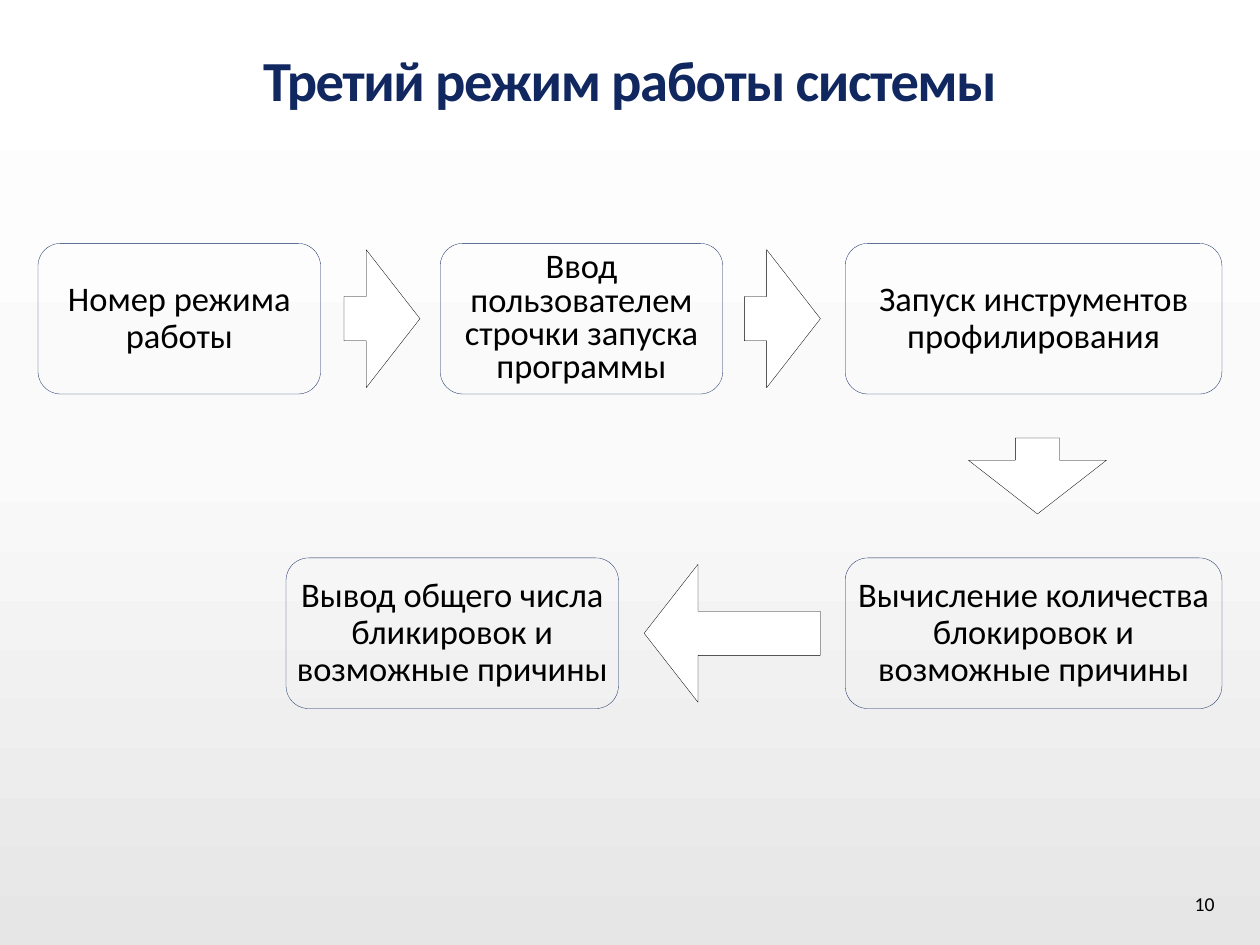
import copy
from dataclasses import dataclass

import pptx
import pptx.dml.color
import pptx.enum.shapes
import pptx.enum.text
import pptx.util

Cm = pptx.util.Cm
Pt = pptx.util.Pt
SHAPES = pptx.enum.shapes.MSO_SHAPE
ALIGN = pptx.enum.text.PP_ALIGN
ANCHOR = pptx.enum.text.MSO_ANCHOR


@dataclass(frozen=True)
class Theme:
    font: str = "Calibri"
    navy: str = "10275F"
    black: str = "000000"
    white: str = "FFFFFF"
    background: tuple = ((0, "FFFFFF"), (0.48, "FAFAFA"), (1, "E6E6E6"))
    title_size: int = 46
    step_size: int = 28
    number_size: int = 16
    outline: float = 0.25


def rgb(value):
    return pptx.dml.color.RGBColor.from_string(value)


def write_text(frame, text, *, font, size, color, bold=False, align=ALIGN.CENTER,
               anchor=ANCHOR.MIDDLE, line_spacing=1.0, tracking=0, margin=0.13, wrap=True):
    frame.word_wrap = wrap
    frame.auto_size = pptx.enum.text.MSO_AUTO_SIZE.NONE
    frame.vertical_anchor = anchor
    frame.margin_left = frame.margin_right = Cm(margin)
    frame.margin_top = frame.margin_bottom = Cm(margin)
    paragraph = frame.paragraphs[0]
    paragraph.alignment = align
    paragraph.line_spacing = line_spacing
    run = paragraph.add_run()
    run.text = text
    run.font.name = font
    run.font.size = Pt(size)
    run.font.bold = bold
    run.font.color.rgb = rgb(color)
    if tracking:
        run.font._element.set("spc", str(round(tracking * 100)))


class FlowSlide:
    """Draws the parts of a flow chart on one slide; lengths are in centimetres."""

    def __init__(self, presentation, theme):
        self.theme = theme
        self.slide = presentation.slides.add_slide(presentation.slide_layouts[5])

    def background(self):
        fill = self.slide.background.fill
        fill.gradient()
        fill.gradient_angle = 270
        stop_list = self.slide.element.xpath(".//p:bg//a:gsLst")[0]
        stop_list.insert(1, copy.deepcopy(stop_list[0]))
        for stop, (position, color) in zip(fill.gradient_stops, self.theme.background):
            stop.position = position
            stop.color.rgb = rgb(color)

    def title(self, text, left, top, width, height):
        heading = self.slide.shapes.title
        heading.left, heading.top = Cm(left), Cm(top)
        heading.width, heading.height = Cm(width), Cm(height)
        write_text(heading.text_frame, text, font=self.theme.font,
                   size=self.theme.title_size, color=self.theme.navy, bold=True,
                   anchor=ANCHOR.BOTTOM, line_spacing=0.9, tracking=-1.1)

    def outlined(self, kind, left, top, width, height, color, adjustments):
        shape = self.slide.shapes.add_shape(kind, Cm(left), Cm(top), Cm(width), Cm(height))
        shape.shadow.inherit = False
        shape.line.color.rgb = rgb(color)
        shape.line.width = Pt(self.theme.outline)
        for index, value in enumerate(adjustments):
            shape.adjustments[index] = value
        return shape

    def step(self, text, left, middle, width, height=4.32, line_spacing=0.9):
        box = self.outlined(SHAPES.ROUNDED_RECTANGLE, left, middle - height / 2,
                            width, height, self.theme.navy, [0.15])
        box.fill.background()
        write_text(box.text_frame, text, font=self.theme.font, size=self.theme.step_size,
                   color=self.theme.black, line_spacing=line_spacing, margin=0)

    def arrow(self, center, middle, length=2.18, rotation=0, head=0.707, breadth=3.96):
        arrow = self.outlined(SHAPES.RIGHT_ARROW, center - length / 2, middle - breadth / 2,
                              length, breadth, self.theme.black, [0.32, head])
        arrow.fill.solid()
        arrow.fill.fore_color.rgb = rgb(self.theme.white)
        arrow.rotation = rotation

    def page_number(self, text, left, top, width, height):
        number = self.slide.shapes.add_textbox(Cm(left), Cm(top), Cm(width), Cm(height))
        write_text(number.text_frame, text, font=self.theme.font,
                   size=self.theme.number_size, color=self.theme.black,
                   align=ALIGN.RIGHT, wrap=False)


def main():
    presentation = pptx.Presentation()
    presentation.slide_width, presentation.slide_height = Cm(36.12), Cm(27.1)
    flow = FlowSlide(presentation, Theme())
    flow.background()
    flow.title("Третий режим работы системы", 4.39, 0.99, 27.33, 2.39)

    upper_row, lower_row = 9.14, 18.16
    right_column, right_width = 24.23, 10.8
    flow.step("Номер режима работы", 1.09, upper_row, 8.1)
    flow.arrow(10.95, upper_row)
    flow.step("Ввод пользователем строчки запуска программы", 12.62, upper_row, 8.1,
              line_spacing=0.8)
    flow.arrow(22.43, upper_row)
    flow.step("Запуск инструментов профилирования", right_column, upper_row, right_width)
    flow.arrow(29.74, (upper_row + lower_row) / 2, rotation=90)
    flow.step("Вычисление количества блокировок и возможные причины",
              right_column, lower_row, right_width)
    flow.arrow(20.99, lower_row, length=5.05, rotation=180, head=0.39)
    flow.step("Вывод общего числа бликировок и возможные причины", 8.2, lower_row, 9.53)

    flow.page_number("10", 34.09, 25.43, 0.86, 0.94)
    presentation.save("out.pptx")


if __name__ == "__main__":
    main()
